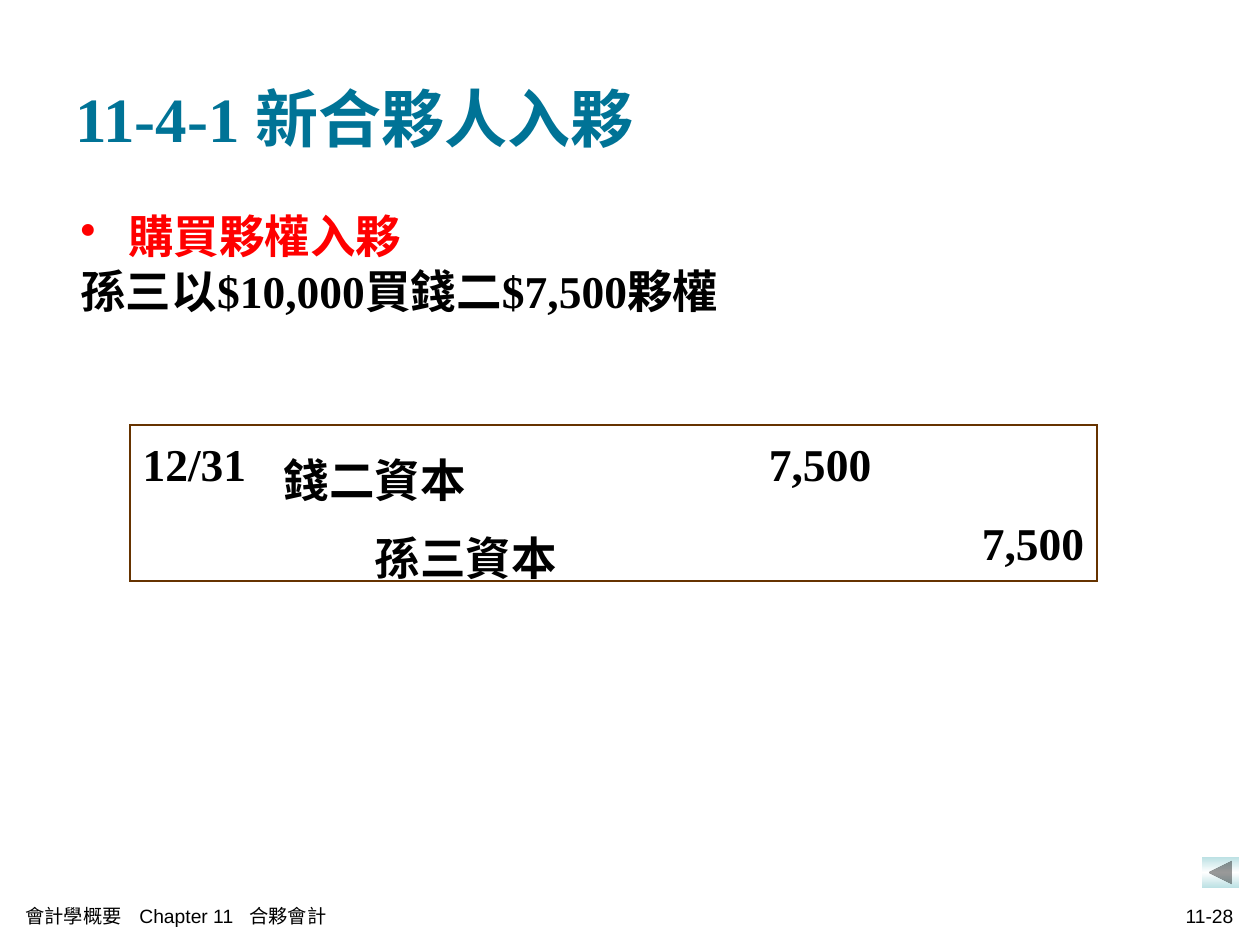
from copy import deepcopy
from pptx import Presentation
from pptx import util as u
from pptx.dml.color import RGBColor
from pptx.enum import shapes, text
from pptx.oxml import parse_xml
from pptx.oxml.ns import nsdecls

# Content
TITLE = "11-4-1 新合夥人入夥"
POINT = "購買夥權入夥"
DEAL = "孫三以$10,000買錢二$7,500夥權"
ENTRY = [["12/31", "錢二資本", "7,500", ""],
         ["", "孫三資本", "", "7,500"]]
FOOT = "會計學概要\tChapter 11\t合夥會計"
PAGE = "11-28"

# Theme and layout, lengths in px
THEME = {
    "serif": "Times New Roman", "sans": "Arial",
    "title": 36, "body": 26, "foot": 11, "rule": 1.08,
    "teal": "007396", "red": "FF0000", "black": "000000",
    "brown": "663300", "pale": "BBE0E3", "white": "FFFFFF",
}
COLS = [141, 413, 200, 213]
ROW = 78
INDENT = 48
CREDIT = 91
TABS = [114, 224]
LEFT, RIGHT = text.PP_ALIGN.LEFT, text.PP_ALIGN.RIGHT


def px(n):
    return u.Emu(n * 914400 // 126)


def style(para, size, color, face="serif", bold=True, align=LEFT):
    para.alignment = align
    for run in para.runs:
        font = run.font
        font.name, font.size, font.bold = THEME[face], u.Pt(THEME[size]), bold
        font.color.rgb = RGBColor.from_string(THEME[color])


def add_box(slide, place, words, anchor=text.MSO_ANCHOR.MIDDLE):
    frame = slide.shapes.add_textbox(*map(px, place)).text_frame
    frame.word_wrap = True
    frame.vertical_anchor = anchor
    frame.text = words
    return frame


def add_xml(node, body):
    node.append(parse_xml(body.replace(">", f" {nsdecls('a')}>", 1)))


def edge(cell, side, drawn):
    width = int(u.Pt(THEME["rule"]))
    fill = (f'<a:solidFill><a:srgbClr val="{THEME["brown"]}"/></a:solidFill>'
            if drawn else "<a:noFill/>")
    add_xml(cell._tc.get_or_add_tcPr(),
            f'<a:ln{side} w="{width}">{fill}</a:ln{side}>')


def add_body(slide):
    frame = add_box(slide, (68, 198, 1134, 624), f"{POINT}\n{DEAL}",
                    text.MSO_ANCHOR.TOP)
    frame.margin_top = px(10)
    point, deal = frame.paragraphs
    props = point._p.get_or_add_pPr()
    props.set("marL", str(px(INDENT)))
    props.set("indent", str(-px(INDENT)))
    add_xml(props, f'<a:buClr><a:srgbClr val="{THEME["red"]}"/></a:buClr>')
    add_xml(props, '<a:buChar char="•"></a:buChar>')
    style(point, "body", "red")
    style(deal, "body", "black")


def add_entry(slide):
    rows, cols = len(ENTRY), len(COLS)
    grid = slide.shapes.add_table(rows, cols, px(130), px(425),
                                  px(sum(COLS)), px(ROW * rows)).table
    grid.first_row = grid.horz_banding = False
    for c, width in enumerate(COLS):
        grid.columns[c].width = px(width)
    for r, line in enumerate(ENTRY):
        grid.rows[r].height = px(ROW)
        for c, words in enumerate(line):
            cell = grid.cell(r, c)
            # Only the outer edges of the table are drawn
            for side, drawn in (("L", c == 0), ("R", c == cols - 1),
                                ("T", r == 0), ("B", r == rows - 1)):
                edge(cell, side, drawn)
            cell.fill.background()
            cell.text = words
            para = cell.text_frame.paragraphs[0]
            para.line_spacing = 1.2
            style(para, "body", "black", align=RIGHT if c > 1 else LEFT)
    # The credited account is set in
    credit = grid.cell(1, 1).text_frame.paragraphs[0]
    credit._p.get_or_add_pPr().set("marL", str(px(CREDIT)))


def add_button(slide):
    kind = shapes.MSO_SHAPE.ACTION_BUTTON_BACK_OR_PREVIOUS
    back = slide.shapes.add_shape(kind, *map(px, (1202, 857, 37, 31)))
    back.shadow.inherit = False
    back.line.fill.background()
    back.fill.gradient()
    back.fill.gradient_angle = 90
    stops = back.fill._fill._gradFill.gsLst
    stops.append(deepcopy(stops[0]))
    for stop, spot, color in zip(back.fill.gradient_stops, (0, 0.5, 1),
                                 ("pale", "white", "pale")):
        stop.position = spot
        stop.color.rgb = RGBColor.from_string(THEME[color])


def add_foot(slide):
    left = add_box(slide, (13, 895, 643, 42), FOOT).paragraphs[0]
    marks = "".join(f'<a:tab pos="{px(n)}" algn="l"/>' for n in TABS)
    add_xml(left._p.get_or_add_pPr(), f"<a:tabLst>{marks}</a:tabLst>")
    style(left, "foot", "black", "sans", False)
    page = add_box(slide, (853, 895, 393, 42), PAGE).paragraphs[0]
    style(page, "foot", "black", "sans", False, RIGHT)


def main():
    deck = Presentation()
    deck.slide_width, deck.slide_height = px(1260), px(945)
    slide = deck.slides.add_slide(deck.slide_layouts[6])
    title = add_box(slide, (63, 38, 1134, 158), TITLE)
    style(title.paragraphs[0], "title", "teal")
    add_body(slide)
    add_entry(slide)
    add_button(slide)
    add_foot(slide)
    deck.save("out.pptx")


if __name__ == "__main__":
    main()
